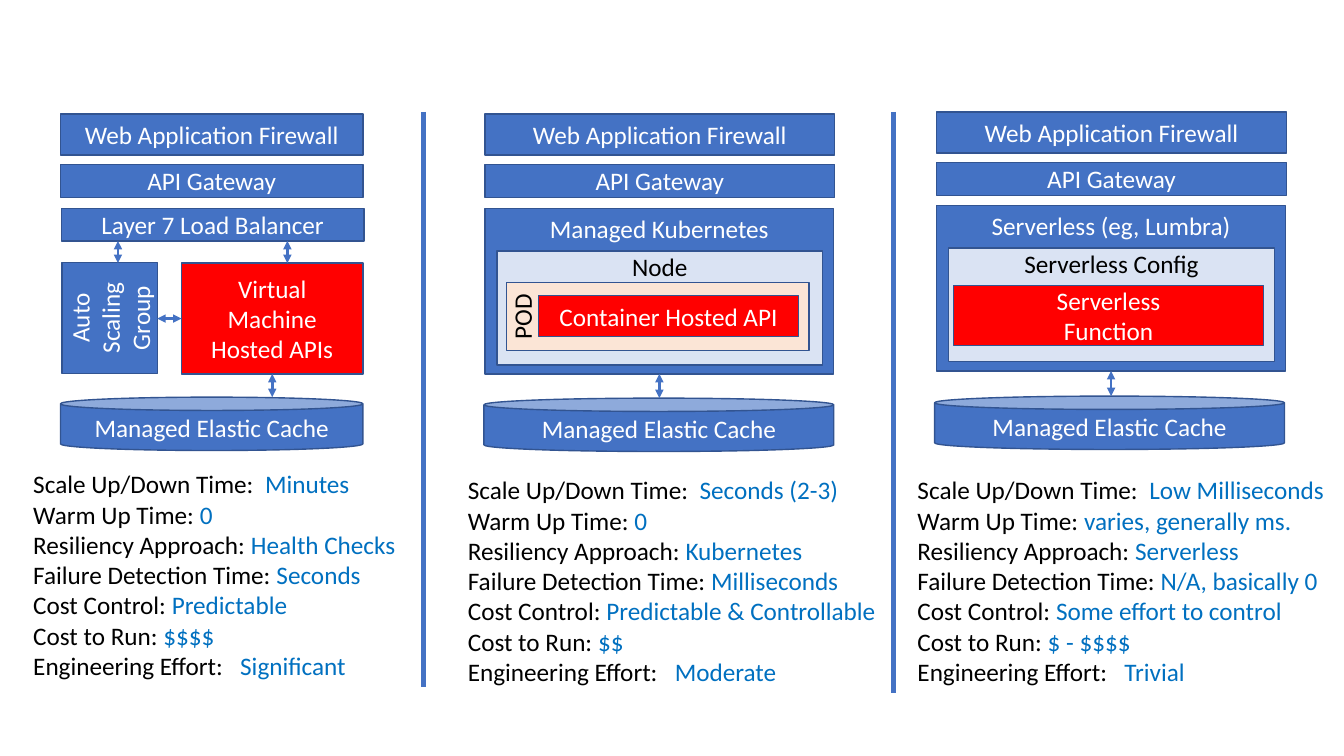
import pptx
import pptx.util
import pptx.dml.color
import pptx.enum.shapes
import pptx.enum.text
import pptx.oxml.ns
from lxml import etree

PX = 9144  # EMU, 100 px to the inch
RGBColor = pptx.dml.color.RGBColor
BLUE = RGBColor(0x44, 0x72, 0xC4)
EDGE = RGBColor(0x32, 0x54, 0x91)
RED = RGBColor(0xFF, 0x00, 0x00)
PALE_BLUE = RGBColor(0xDA, 0xE3, 0xF3)
PEACH = RGBColor(0xFB, 0xE5, 0xD6)
VALUE_BLUE = RGBColor(0x00, 0x70, 0xC0)
WHITE = RGBColor(0xFF, 0xFF, 0xFF)
BLACK = RGBColor(0x00, 0x00, 0x00)
RECT = pptx.enum.shapes.MSO_SHAPE.RECTANGLE
CAN = pptx.enum.shapes.MSO_SHAPE.CAN
TOP = pptx.enum.text.MSO_ANCHOR.TOP
MIDDLE = pptx.enum.text.MSO_ANCHOR.MIDDLE

deck = pptx.Presentation()
deck.slide_width, deck.slide_height = 1333 * PX, 750 * PX
slide = deck.slides.add_slide(deck.slide_layouts[6])


def block(text, x, y, w, h, *, fill=BLUE, color=WHITE, preset=RECT,
          anchor=MIDDLE, rotation=0, insets=(10, 5, 10, 5)):
    shape = slide.shapes.add_shape(preset, x * PX, y * PX, w * PX, h * PX)
    shape.shadow.inherit = False
    shape.rotation = rotation
    shape.fill.solid()
    shape.fill.fore_color.rgb = fill
    shape.line.color.rgb = EDGE
    shape.line.width = pptx.util.Pt(1)
    frame = shape.text_frame
    frame.word_wrap = True
    frame.vertical_anchor = anchor
    frame.margin_left, frame.margin_top, frame.margin_right, frame.margin_bottom = (
        inset * PX for inset in insets)
    frame.text = text
    paragraph = frame.paragraphs[0]
    paragraph.alignment = pptx.enum.text.PP_ALIGN.CENTER
    for run in paragraph.runs:
        run.font.name = "Calibri"
        run.font.size = pptx.util.Pt(18)
        run.font.color.rgb = color
    return shape


def rule(x1, y1, x2, y2, *, weight=2, arrows=True):
    line = slide.shapes.add_connector(
        pptx.enum.shapes.MSO_CONNECTOR.STRAIGHT, x1 * PX, y1 * PX, x2 * PX, y2 * PX)
    line.line.color.rgb = BLUE
    line.line.width = pptx.util.Pt(weight)
    if arrows:
        for end in ("a:headEnd", "a:tailEnd"):
            etree.SubElement(line.line._get_or_add_ln(), pptx.oxml.ns.qn(end), type="triangle")
    etree.SubElement(line._element.spPr, pptx.oxml.ns.qn("a:effectLst"))
    return line


# Layers shared by all three hosting options
for x, y, width, cache_x, cache_y in ((60, 113, 300, 60, 394),
                                      (481, 113, 347, 480, 395),
                                      (929, 111, 347, 927, 393)):
    block("Web Application Firewall", x, y, width, 41)
    block("API Gateway", x, y + 50, width, 33)
    block("Managed Elastic Cache", cache_x, cache_y, width, 53, preset=CAN)

# Virtual machines
block("Layer 7 Load Balancer", 61, 207, 300, 32)
scaling_group = block("Auto\vScaling Group", 54, 268, 110, 95, rotation=270)
machines = block("Virtual Machine Hosted APIs", 180, 261, 180, 110, fill=RED)
for x in (117, 285):
    rule(x, 239, x, 261)
rule(270, 371, 270, 394).begin_connect(machines, 2)
scaling_link = rule(180, 316, 156, 316)
scaling_link.begin_connect(machines, 1)
scaling_link.end_connect(scaling_group, 2)
# The group is turned, so its bottom side faces right
scaling_link.end_x, scaling_link.end_y = 156 * PX, 316 * PX

# Managed platforms
for platform, config, x, y, cache_y in (("Managed Kubernetes", "Node", 481, 207, 395),
                                        ("Serverless (eg, Lumbra)", "Serverless Config", 929, 204, 393)):
    host = block(platform, x, y, 346, 164, anchor=TOP)
    block(config, x + 12, y + 42, 323, 113, fill=PALE_BLUE, color=BLACK,
          anchor=TOP, insets=(10, 0, 10, 5))
    rule(x + 173, y + 164, x + 173, cache_y).begin_connect(host, 2)
block("POD", 619, 164, 67, 300, fill=PEACH, color=BLACK, anchor=TOP,
      rotation=270, insets=(10, 0, 10, 5))
block("Container Hosted API", 534, 293, 258, 41, fill=RED, insets=(0, 0, 0, 0))
block("Serverless\vFunction", 946, 283, 307, 60, fill=RED, insets=(0, 0, 0, 0))

# Comparison of the options
criteria = ("Scale Up/Down Time:  ", "Warm Up Time: ", "Resiliency Approach: ",
            "Failure Detection Time: ", "Cost Control: ", "Cost to Run: ",
            "Engineering Effort:   ")
comparison = (
    (33, 460, 387, ("Minutes", "0", "Health Checks", "Seconds", "Predictable",
                    "$$$$", "Significant")),
    (464, 466, 412, ("Seconds (2-3)", "0", "Kubernetes", "Milliseconds",
                     "Predictable & Controllable", "$$", "Moderate")),
    (910, 466, 423, ("Low Milliseconds", "varies, generally ms.", "Serverless",
                     "N/A, basically 0", "Some effort to control", "$ - $$$$", "Trivial")),
)
for x, y, width, ratings in comparison:
    facts = slide.shapes.add_textbox(x * PX, y * PX, width * PX, 222 * PX).text_frame
    facts.word_wrap = True
    facts.auto_size = pptx.enum.text.MSO_AUTO_SIZE.SHAPE_TO_FIT_TEXT
    facts.margin_left = facts.margin_right = 0
    for index, (criterion, rating) in enumerate(zip(criteria, ratings)):
        paragraph = facts.add_paragraph() if index else facts.paragraphs[0]
        for words, color in ((criterion, BLACK), (rating, VALUE_BLUE)):
            run = paragraph.add_run()
            run.text = words
            run.font.name = "Calibri"
            run.font.size = pptx.util.Pt(18)
            run.font.color.rgb = color

# Dividers between the options
for x, bottom in ((420, 682), (886, 688)):
    rule(x, 111, x, bottom, weight=4, arrows=False)

deck.save("out.pptx")
